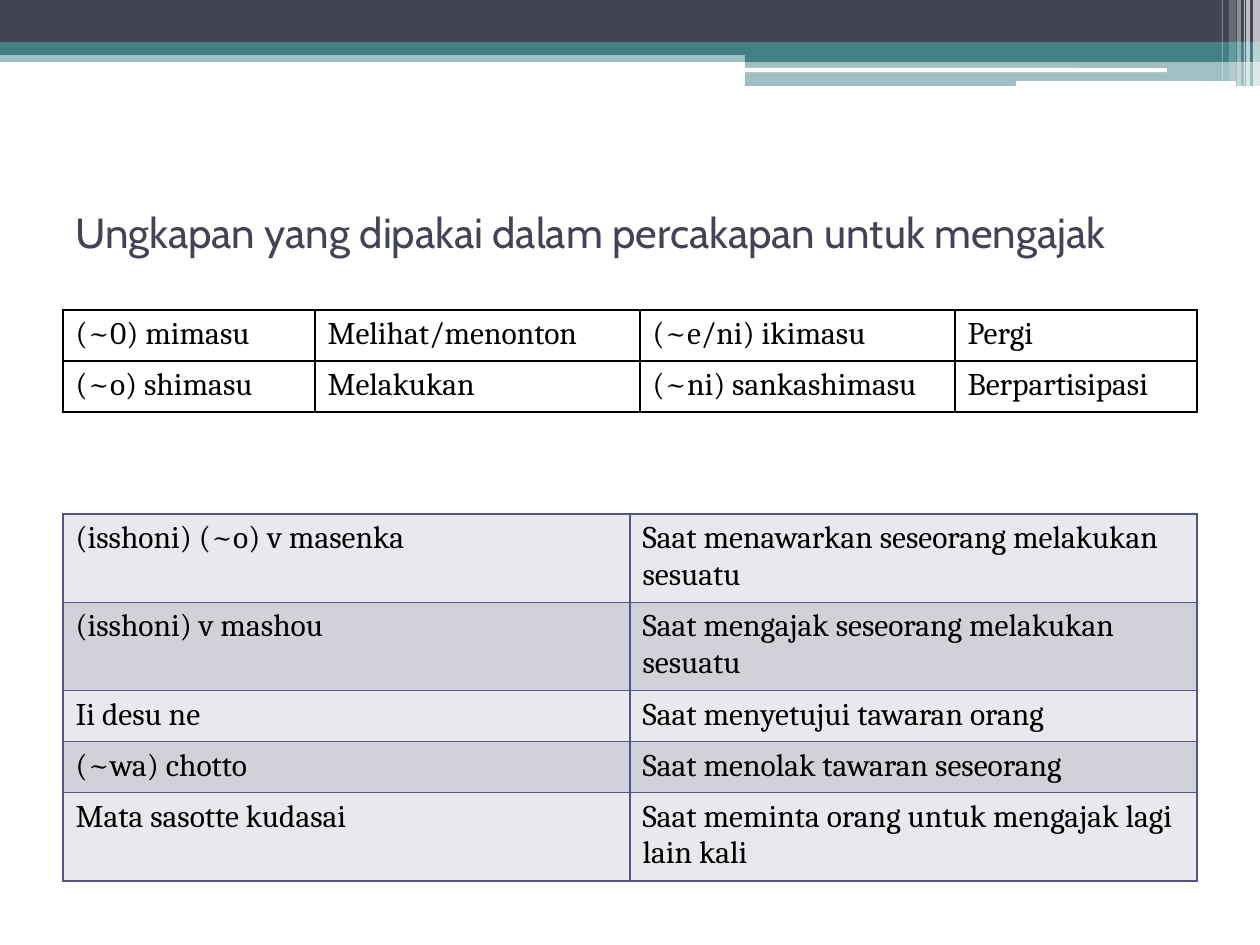
from lxml import etree
from pptx import Presentation
from pptx.dml.color import RGBColor
from pptx.enum.shapes import MSO_SHAPE
from pptx.enum.text import MSO_ANCHOR
from pptx.oxml.ns import qn
from pptx.util import Pt

RECT = MSO_SHAPE.RECTANGLE
ROUND = MSO_SHAPE.ROUNDED_RECTANGLE
MIDDLE = MSO_ANCHOR.MIDDLE

NAVY = RGBColor(0x42, 0x44, 0x56)
TEAL = RGBColor(0x43, 0x80, 0x86)
WHITE = RGBColor(0xFF, 0xFF, 0xFF)
BLACK = RGBColor(0, 0, 0)
VIOLET = RGBColor(0x53, 0x54, 0x8A)
LIGHT = RGBColor(0xE9, 0xE9, 0xED)
DARK = RGBColor(0xD1, 0xD1, 0xDA)

# left, top, width, height, colour, opacity in percent
BANDS = [
    (0, 50, 1260, 12, TEAL, 50),
    (0, 0, 1260, 43, NAVY, 100),
    (0, 42, 1260, 13, TEAL, 100),
    (745, 49, 515, 13, TEAL, 100),
    (745, 61, 515, 25, TEAL, 50),
]
BARS = [(745, 68, 422, 4), (1016, 81, 220, 5)]
# left, width, height, opacity in percent
STRIPES = [
    (1253, 7, 86, 65),
    (1246, 4, 86, 65),
    (1244, 1, 86, 60),
    (1237, 4, 86, 40),
    (1229, 7, 81, 20),
    (1222, 1, 81, 30),
]

VERBS = [
    ["(~0) mimasu", "Melihat/menonton", "(~e/ni) ikimasu", "Pergi"],
    ["(~o) shimasu", "Melakukan", "(~ni) sankashimasu", "Berpartisipasi"],
]
PHRASES = [
    ["(isshoni) (~o) v masenka", "Saat menawarkan seseorang melakukan sesuatu"],
    ["(isshoni) v mashou", "Saat mengajak seseorang melakukan sesuatu"],
    ["Ii desu ne", "Saat menyetujui tawaran orang"],
    ["(~wa) chotto", "Saat menolak tawaran seseorang"],
    ["Mata sasotte kudasai", "Saat meminta orang untuk mengajak lagi lain kali"],
]


def px(n):
    return round(n * 914400 / 126)


def add_block(slide, kind, left, top, width, height, color, alpha=100):
    shape = slide.shapes.add_shape(kind, px(left), px(top), px(width), px(height))
    shape.shadow.inherit = False
    shape.line.fill.background()
    shape.fill.solid()
    shape.fill.fore_color.rgb = color
    if alpha < 100:
        tone = shape.fill._xPr.find(".//" + qn("a:srgbClr"))
        etree.SubElement(tone, qn("a:alpha"), val=str(alpha * 1000))


def add_title(slide, text):
    frame = slide.shapes.add_textbox(px(63), px(158), px(1134), px(147)).text_frame
    frame.word_wrap = True
    frame.vertical_anchor = MIDDLE
    para = frame.paragraphs[0]
    para.text = text
    set_font(para, "Cabin", 24, NAVY)


def set_font(para, name, size, color):
    para.font.name = name
    para.font.size = Pt(size)
    para.font.color.rgb = color


def set_edges(cell, color):
    props = cell._tc.get_or_add_tcPr()
    for i, side in enumerate(("lnL", "lnR", "lnT", "lnB")):
        line = etree.Element(qn("a:" + side), w=str(Pt(1)))
        fill = etree.SubElement(line, qn("a:solidFill"))
        etree.SubElement(fill, qn("a:srgbClr"), val=str(color))
        props.insert(i, line)


def add_grid(slide, top, widths, heights, data, edge, fills=()):
    """Add a table whose rows take the fills in turn, or none."""
    table = slide.shapes.add_table(
        len(data), len(widths), px(63), px(top), px(sum(widths)), px(sum(heights))
    ).table
    table.first_row = table.horz_banding = False
    for col, width in zip(table.columns, widths):
        col.width = px(width)
    for r, texts in enumerate(data):
        table.rows[r].height = px(heights[r])
        for c, text in enumerate(texts):
            cell = table.cell(r, c)
            para = cell.text_frame.paragraphs[0]
            para.text = text
            set_font(para, "Cambria", 18, BLACK)
            if fills:
                cell.fill.solid()
                cell.fill.fore_color.rgb = fills[r % len(fills)]
            else:
                cell.fill.background()
            set_edges(cell, edge)


def main():
    deck = Presentation()
    deck.slide_width, deck.slide_height = px(1260), px(945)
    slide = deck.slides.add_slide(deck.slide_layouts[6])
    for band in BANDS:
        add_block(slide, RECT, *band)
    for bar in BARS:
        add_block(slide, ROUND, *bar, WHITE)
    for left, width, height, alpha in STRIPES:
        add_block(slide, RECT, left, 0, width, height, WHITE, alpha)
    add_title(slide, "Ungkapan yang dipakai dalam percakapan untuk mengajak")
    add_grid(slide, 310, [252, 325, 315, 242], [51, 51], VERBS, BLACK)
    add_grid(slide, 514, [567, 567], [86, 85, 51, 51, 86], PHRASES, VIOLET, (LIGHT, DARK))
    deck.save("out.pptx")


if __name__ == "__main__":
    main()
